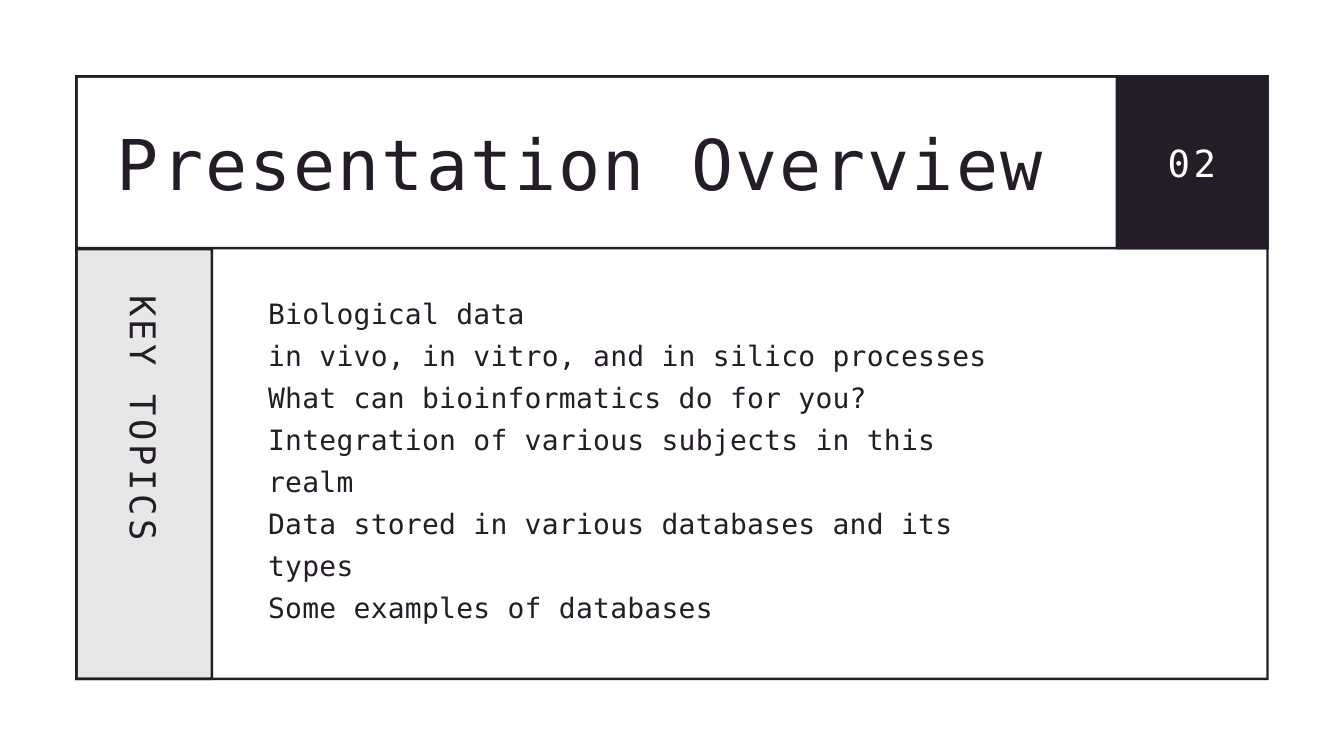
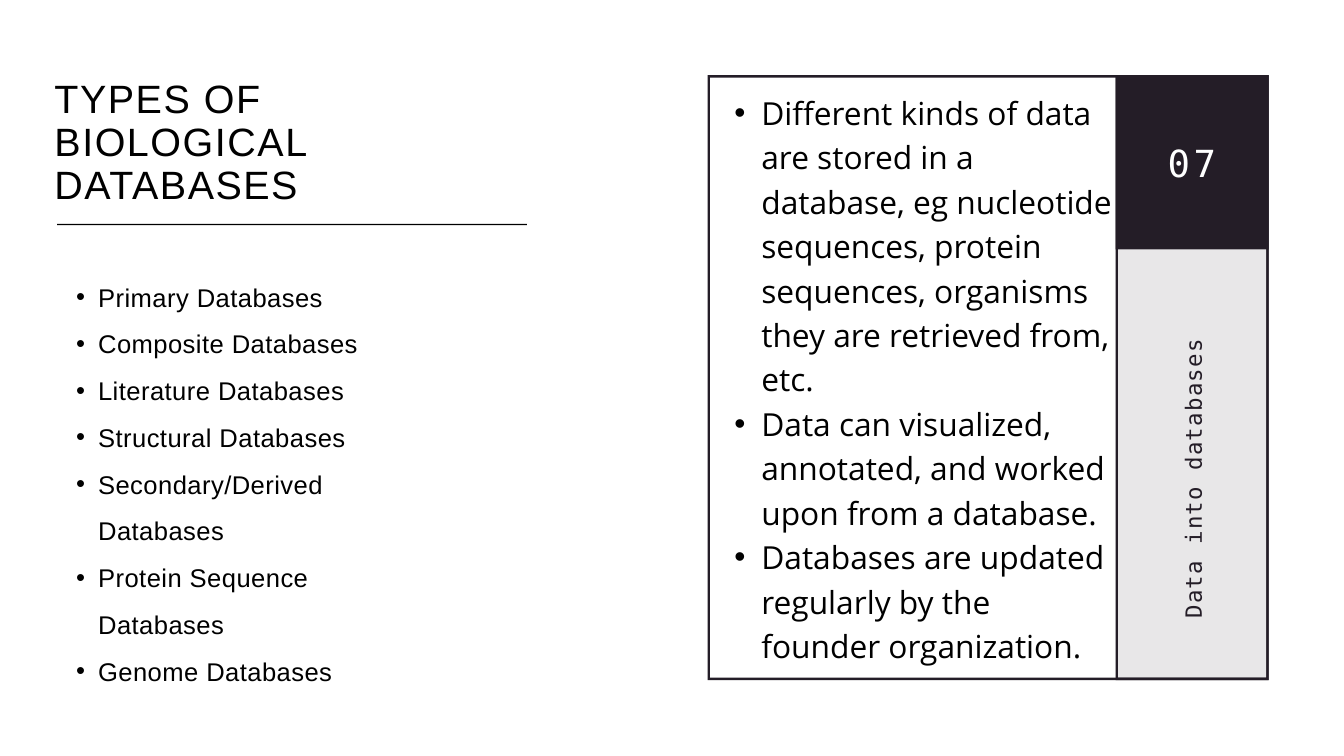
from lxml import etree
from pptx import Presentation
from pptx import util as u
from pptx.dml.color import RGBColor
from pptx.enum import shapes, text
from pptx.oxml import ns

INK = RGBColor(0x24, 0x1D, 0x27)
BLACK = RGBColor(0, 0, 0)
WHITE = RGBColor(0xFF, 0xFF, 0xFF)
MONO, SANS, OPEN = "DejaVu Sans Mono", "Arial", "Open Sans"

# Shared layout, in inches
TOP, BOTTOM, RIGHT = 1.12, 10.12, 18.88
BAND_BOTTOM = 3.71
NUMBER_LEFT = 16.6
NUMBER_WIDTH = RIGHT - NUMBER_LEFT
BORDER = 0.035


def paint(shape, color, opacity=100):
    """Fill a shape without line or shadow."""
    shape.shadow.inherit = False
    shape.line.fill.background()
    shape.fill.solid()
    shape.fill.fore_color.rgb = color
    if opacity < 100:
        tone = next(shape._element.iter(ns.qn("a:srgbClr")))
        etree.SubElement(tone, ns.qn("a:alpha"), val=str(opacity * 1000))


def add_block(page, left, top, width, height, color=INK, opacity=100):
    block = page.shapes.add_shape(
        shapes.MSO_SHAPE.RECTANGLE, u.Inches(left), u.Inches(top),
        u.Inches(width), u.Inches(height))
    paint(block, color, opacity)


def add_frame(page, left, top, right, bottom):
    """Draw a thin border as an outline with a rectangular hole."""
    def corners(inset):
        x1, x2 = u.Inches(left + inset), u.Inches(right - inset)
        y1, y2 = u.Inches(top + inset), u.Inches(bottom - inset)
        return [(x1, y1), (x1, y2), (x2, y2), (x2, y1)]

    outer, inner = corners(0), corners(BORDER)[::-1]
    builder = page.shapes.build_freeform(*outer[0])
    builder.add_line_segments(outer[1:], close=True)
    builder.move_to(*inner[0])
    builder.add_line_segments(inner[1:], close=True)
    paint(builder.convert_to_shape(), INK)


def add_bullet(para, indent):
    """Hang a bullet halfway into the indent."""
    para.level = 1
    props = para._p.get_or_add_pPr()
    props.set("marL", str(u.Inches(indent)))
    props.set("indent", str(-u.Inches(indent / 2)))
    etree.SubElement(props, ns.qn("a:buFont"), typeface="Arial")
    etree.SubElement(props, ns.qn("a:buChar"), char="•")


def add_text(page, lines, left, top, width, height, *, size, leading,
             font=MONO, color=INK, spacing=0, align=None, rotation=0,
             bullet_indent=0):
    """Add a text box with one paragraph for each line."""
    box = page.shapes.add_textbox(u.Inches(left), u.Inches(top),
                                  u.Inches(width), u.Inches(height))
    box.rotation = rotation
    frame = box.text_frame
    frame.word_wrap = True
    frame.auto_size = text.MSO_AUTO_SIZE.SHAPE_TO_FIT_TEXT
    frame.margin_left = frame.margin_right = 0
    frame.margin_top = frame.margin_bottom = 0
    for index, line in enumerate(lines):
        para = frame.add_paragraph() if index else frame.paragraphs[0]
        para.line_spacing = u.Pt(leading)
        para.alignment = align
        if bullet_indent:
            add_bullet(para, bullet_indent)
        span = para.add_run()
        span.text = line
        span.font.size = u.Pt(size)
        span.font.name = font
        span.font.color.rgb = color
        if spacing:
            span._r.get_or_add_rPr().set("spc", str(round(spacing * 100)))


def add_page_number(page, number):
    add_block(page, NUMBER_LEFT, TOP, NUMBER_WIDTH, BAND_BOTTOM - TOP)
    add_text(page, [number], 17.19, 2.08, 1.09, 0.67, size=40, leading=48,
             color=WHITE, spacing=4, align=text.PP_ALIGN.CENTER)


def build_overview(page):
    left, side_width = 1.12, 2.05
    # Outer frame and title band
    add_frame(page, left, TOP, RIGHT, BOTTOM)
    add_frame(page, left, TOP, RIGHT, BAND_BOTTOM)
    add_text(page, ["Presentation Overview"], 1.74, 1.79, 14.23, 1.25,
             size=75, leading=90, spacing=2.2)
    add_page_number(page, "02")

    # Side label
    add_frame(page, left, 3.69, left + side_width, BOTTOM)
    add_block(page, left, BAND_BOTTOM, side_width, BOTTOM - BAND_BOTTOM,
              opacity=10)
    add_text(page, ["KEY TOPICS"], -0.31, 6.54, 4.92, 0.62, size=38,
             leading=45.6, spacing=3.8, rotation=90)

    # Topics
    topics = [
        "Biological data",
        "in vivo, in vitro, and in silico processes",
        "What can bioinformatics do for you?",
        "Integration of various subjects in this realm",
        "Data stored in various databases and its types",
        "Some examples of databases",
    ]
    add_text(page, topics, 3.99, 4.29, 11.14, 4.98, size=30, leading=45,
             spacing=0.3)


def build_database_types(page):
    panel_left = 10.53
    # Panel with its side label
    add_frame(page, panel_left, TOP, RIGHT, BOTTOM)
    add_block(page, NUMBER_LEFT, BAND_BOTTOM, NUMBER_WIDTH,
              BOTTOM - BAND_BOTTOM, opacity=10)
    add_frame(page, NUMBER_LEFT, TOP, RIGHT, BOTTOM)
    add_page_number(page, "07")
    add_text(page, ["Data into databases"], 15.22, 6.49, 4.98, 0.45, size=24,
             leading=33.6, spacing=1.4, rotation=270)

    # Facts in the panel
    facts = [
        "Different kinds of data are stored in a database, eg nucleotide "
        "sequences, protein sequences, organisms they are retrieved from, "
        "etc.",
        "Data can visualized, annotated, and worked upon from a database.",
        "Databases are updated regularly by the founder organization.",
    ]
    add_text(page, facts, panel_left, 1.3, NUMBER_LEFT - panel_left, 8.57,
             size=34, leading=47.6, font=OPEN, color=BLACK, bullet_indent=0.8)

    # Heading and list of types
    add_text(page, ["TYPES OF BIOLOGICAL DATABASES"], 0.81, 1.16, 6.55, 1.95,
             size=42.3, leading=46.1, font=SANS, color=BLACK, spacing=1.7)
    kinds = ["Primary", "Composite", "Literature", "Structural",
             "Secondary/Derived", "Protein Sequence", "Genome"]
    add_text(page, [f"{kind} Databases" for kind in kinds],
             0.81, 3.95, 5.29, 6.17, size=27.4, leading=50.1, font=SANS,
             color=BLACK, spacing=0.5, bullet_indent=0.65)
    add_block(page, 0.85, 3.33, 6.99, 0.02, BLACK)


def main():
    deck = Presentation()
    deck.slide_width, deck.slide_height = u.Inches(20), u.Inches(11.25)
    blank = deck.slide_layouts[6]
    for build in (build_overview, build_database_types):
        build(deck.slides.add_slide(blank))
    deck.save("out.pptx")


if __name__ == "__main__":
    main()
